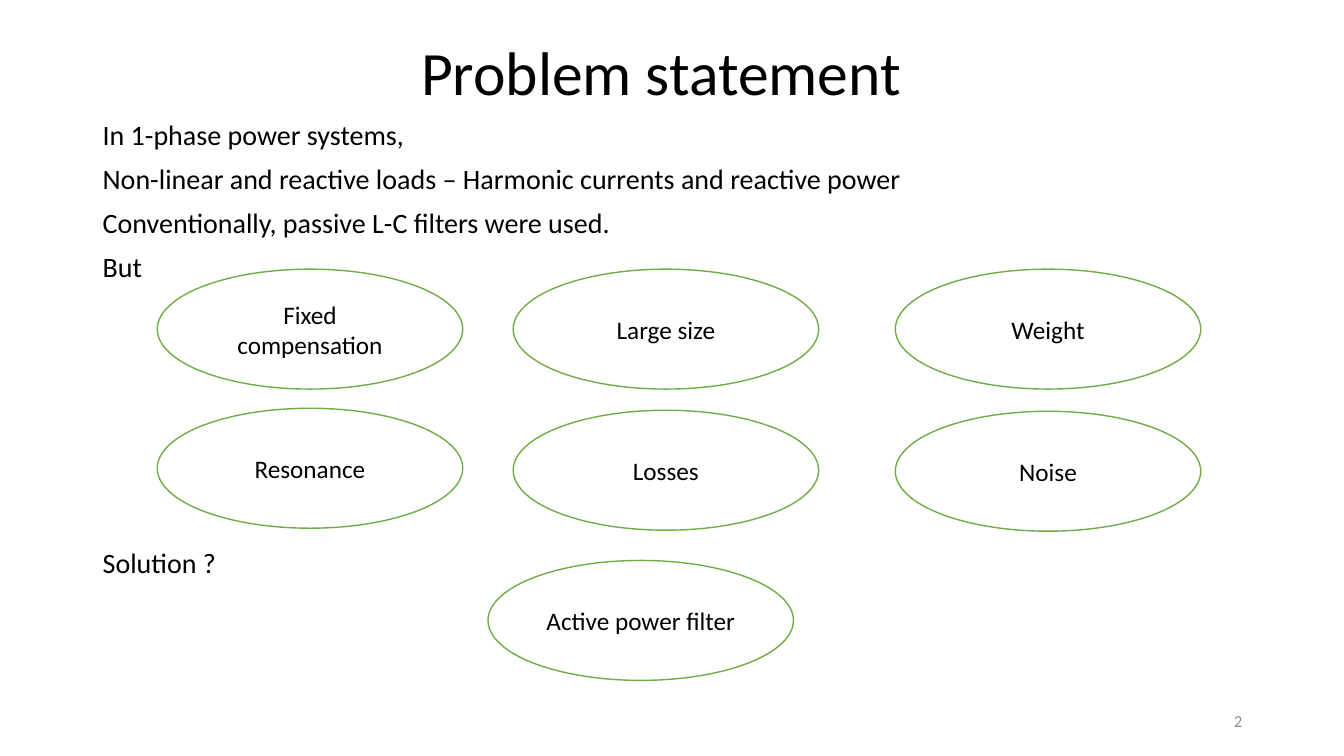
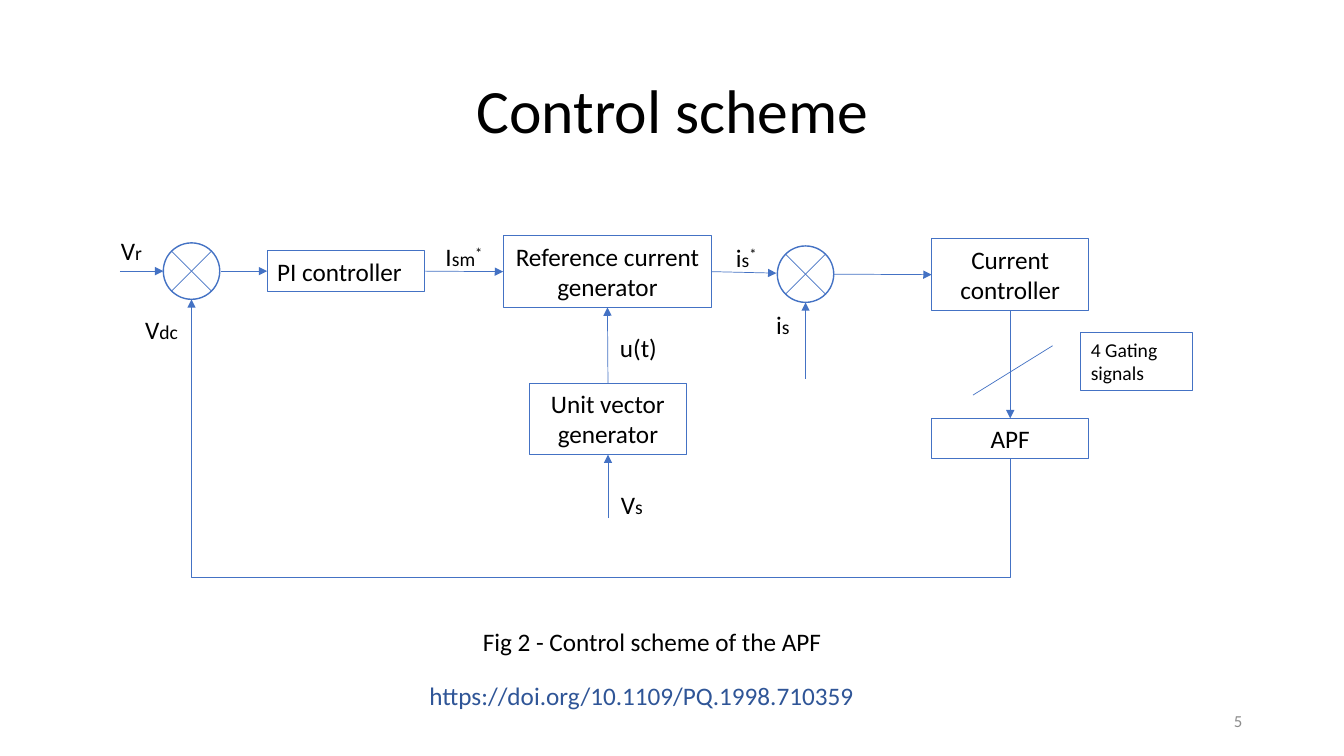
from dataclasses import dataclass
from typing import Optional

from lxml import etree
from pptx import Presentation
from pptx.dml.color import RGBColor
from pptx.enum.shapes import MSO_CONNECTOR, MSO_SHAPE
from pptx.enum.text import MSO_ANCHOR, PP_ALIGN
from pptx.oxml.ns import qn
from pptx.util import Inches, Pt

STRAIGHT, ELBOW = MSO_CONNECTOR.STRAIGHT, MSO_CONNECTOR.ELBOW
RECTANGLE, OVAL = MSO_SHAPE.RECTANGLE, MSO_SHAPE.OVAL
TOP, MIDDLE = MSO_ANCHOR.TOP, MSO_ANCHOR.MIDDLE
LEFT, CENTER, RIGHT = PP_ALIGN.LEFT, PP_ALIGN.CENTER, PP_ALIGN.RIGHT
SIDE_TOP, SIDE_LEFT, SIDE_BOTTOM, SIDE_RIGHT = range(4)
OVAL_BOTTOM = 4  # an ellipse has eight connection sites
TITLE_ONLY = 5


@dataclass(frozen=True)
class Theme:
    font: str = "Calibri"
    text: RGBColor = RGBColor(0, 0, 0)
    muted: RGBColor = RGBColor(0x8C, 0x8C, 0x8C)
    link: RGBColor = RGBColor(0x2F, 0x55, 0x97)
    paper: RGBColor = RGBColor(0xFF, 0xFF, 0xFF)
    green: RGBColor = RGBColor(0x70, 0xAD, 0x47)
    blue: RGBColor = RGBColor(0x44, 0x72, 0xC4)
    title: int = 44
    body: int = 20
    label: int = 18
    small: int = 14
    number: int = 12
    oval_line: float = 1
    box_line: float = 0.75
    wire_line: float = 0.5


THEME = Theme()


@dataclass(frozen=True)
class Area:
    left: float
    top: float
    width: float
    height: float

    def lengths(self) -> tuple:
        return tuple(Inches(v) for v in (self.left, self.top, self.width, self.height))


@dataclass(frozen=True)
class Bubble:
    text: str
    left: float
    top: float


@dataclass(frozen=True)
class Block:
    text: str
    area: Area
    align: PP_ALIGN = CENTER
    size: int = THEME.label


@dataclass(frozen=True)
class Signal:
    """A symbol with a smaller index and an optional raised mark."""
    symbol: str
    area: Area
    index: str = ""
    mark: str = ""


@dataclass(frozen=True)
class Wire:
    """A line; an end may be joined to a named block's side."""
    start: tuple
    end: tuple
    source: Optional[tuple] = None
    target: Optional[tuple] = None
    arrow: bool = True


NUMBER_AREA = Area(9.42, 6.95, 3, 0.4)

BUBBLE_WIDTH, BUBBLE_HEIGHT = 3.03, 1.19
BUBBLES = [
    Bubble("Fixed compensation", 1.56, 2.67),
    Bubble("Large size", 5.09, 2.67),
    Bubble("Weight", 8.88, 2.67),
    Bubble("Resonance", 1.56, 4.05),
    Bubble("Losses", 5.09, 4.07),
    Bubble("Noise", 8.88, 4.08),
    Bubble("Active power filter", 4.84, 5.56),
]
PROBLEM_LINES = [
    "In 1-phase power systems,",
    "Non-linear and reactive loads – Harmonic currents and reactive power",
    "Conventionally, passive L-C filters were used.",
    "But",
]

BLOCKS = {
    "pi": Block("PI controller", Area(2.65, 2.49, 1.56, 0.4), LEFT),
    "reference": Block("Reference current generator", Area(4.99, 2.34, 2.07, 0.71)),
    "current": Block("Current controller", Area(9.24, 2.37, 1.56, 0.71)),
    "vector": Block("Unit vector generator", Area(5.25, 3.8, 1.56, 0.71)),
    "apf": Block("APF", Area(9.24, 4.15, 1.56, 0.4)),
    "gating": Block("4 Gating signals", Area(10.72, 3.3, 1.11, 0.57), LEFT, THEME.small),
}
JUNCTION_SIZE, CROSS_REACH = 0.56, 0.2
VOLTAGE_SUM, CURRENT_SUM = (1.9, 2.69), (7.99, 2.72)
FEEDBACK_DEPTH = 5.73

WIRES = [
    Wire((1.19, 2.69), (1.62, 2.69)),
    Wire((2.19, 2.69), (2.65, 2.69), target=("pi", SIDE_LEFT)),
    Wire((4.21, 2.69), (4.99, 2.7), ("pi", SIDE_RIGHT), ("reference", SIDE_LEFT)),
    Wire((7.06, 2.7), (7.7, 2.71), source=("reference", SIDE_RIGHT)),
    Wire((8.27, 2.72), (9.24, 2.72), target=("current", SIDE_LEFT)),
    Wire((6.03, 5.14), (6.03, 4.51), target=("vector", SIDE_BOTTOM)),
    Wire((6.03, 3.8), (6.03, 3.05), ("vector", SIDE_TOP), ("reference", SIDE_BOTTOM)),
    Wire((7.99, 3.76), (7.99, 3)),
    Wire((10.02, 3.08), (10.02, 4.15), ("current", SIDE_BOTTOM), ("apf", SIDE_TOP)),
    Wire((10.44, 3.43), (9.65, 3.92), arrow=False),
]
SIGNALS = [
    Signal("V", Area(1.1, 2.29, 0.5, 0.4), "r"),
    Signal("V", Area(1.34, 3.07, 0.63, 0.4), "dc"),
    Signal("I", Area(4.32, 2.34, 0.65, 0.4), "sm", "*"),
    Signal("i", Area(7.2, 2.35, 0.65, 0.4), "s", "*"),
    Signal("i", Area(7.6, 3.02, 0.46, 0.4), "s"),
    Signal("V", Area(6.06, 4.81, 0.56, 0.4), "s"),
    Signal("u(t)", Area(6.05, 3.25, 0.61, 0.4)),
]


def apply_format(target, values: dict) -> None:
    for attribute, value in values.items():
        setattr(target, attribute, value)


def style_font(font, size: int, color: RGBColor = THEME.text) -> None:
    apply_format(font, {"name": THEME.font, "size": Pt(size)})
    font.color.rgb = color


def write(shape, lines: list, size: int, align: PP_ALIGN = LEFT, anchor: MSO_ANCHOR = TOP,
          color: RGBColor = THEME.text, spacing: float = 1, gap: int = 0) -> None:
    """Fill a shape with one paragraph per line, with gap points between them."""
    frame = shape.text_frame
    apply_format(frame, {"word_wrap": True, "vertical_anchor": anchor})
    for position, line in enumerate(lines):
        paragraph = frame.add_paragraph() if position else frame.paragraphs[0]
        apply_format(paragraph, {"alignment": align, "line_spacing": spacing,
                                 "space_before": Pt(gap if position else 0)})
        run = paragraph.add_run()
        run.text = line
        style_font(run.font, size, color)


def add_text(slide, area: Area, lines: list, size: int, **options) -> None:
    write(slide.shapes.add_textbox(*area.lengths()), lines, size, **options)


def add_outline(slide, kind: MSO_SHAPE, area: Area, color: RGBColor, weight: float,
                filled: bool):
    shape = slide.shapes.add_shape(kind, *area.lengths())
    shape.shadow.inherit = False
    if filled:
        shape.fill.solid()
        shape.fill.fore_color.rgb = THEME.paper
    else:
        shape.fill.background()
    shape.line.color.rgb = color
    shape.line.width = Pt(weight)
    return shape


def style_wire(connector, arrow: bool) -> None:
    connector.line.color.rgb = THEME.blue
    connector.line.width = Pt(THEME.wire_line)
    properties = connector._element.spPr
    if arrow:
        etree.SubElement(properties.find(qn("a:ln")), qn("a:tailEnd"), type="triangle")
    etree.SubElement(properties, qn("a:effectLst"))


def add_wire(slide, wire: Wire, blocks: dict) -> None:
    points = [Inches(v) for v in wire.start + wire.end]
    connector = slide.shapes.add_connector(STRAIGHT, *points)
    for join, place in ((connector.begin_connect, wire.source),
                        (connector.end_connect, wire.target)):
        if place:
            name, side = place
            join(blocks[name], side)
    style_wire(connector, wire.arrow)


def add_junction(slide, center: tuple):
    """Draw a circle crossed by two diagonals."""
    x, y = center
    half, reach = JUNCTION_SIZE / 2, CROSS_REACH
    circle = add_outline(slide, OVAL, Area(x - half, y - half, JUNCTION_SIZE, JUNCTION_SIZE),
                         THEME.blue, THEME.oval_line, filled=True)
    for rise in (-reach, reach):
        add_wire(slide, Wire((x - reach, y + rise), (x + reach, y - rise), arrow=False), {})
    return circle


def add_feedback(slide, apf, junction) -> None:
    """Lead the APF output below the diagram and up into the voltage junction."""
    connector = slide.shapes.add_connector(ELBOW, 0, 0, 0, 0)
    connector.begin_connect(apf, SIDE_BOTTOM)
    connector.end_connect(junction, SIDE_BOTTOM)
    connector._element.xpath(".//a:endCxn")[0].set("idx", str(OVAL_BOTTOM))

    start_x, start_y = apf.left + apf.width // 2, apf.top + apf.height
    end_x, end_y = junction.left + junction.width // 2, junction.top + junction.height
    rise, run = start_y - end_y, start_x - end_x
    # The frame is given before its quarter turn, so rise is its width
    frame = connector._element.spPr.find(qn("a:xfrm"))
    for flip in ("flipH", "flipV"):
        frame.attrib.pop(flip, None)
    frame.set("rot", "5400000")
    frame.set("flipH", "1")
    apply_format(connector, {"left": (start_x + end_x - rise) // 2,
                             "top": (start_y + end_y - run) // 2,
                             "width": rise, "height": run})
    bend = round((start_y - Inches(FEEDBACK_DEPTH)) / rise * 100000)
    guides = connector._element.spPr.find(qn("a:prstGeom")).get_or_add_avLst()
    etree.SubElement(guides, qn("a:gd"), name="adj1", fmla=f"val {bend}")
    style_wire(connector, arrow=True)


def add_signal(slide, signal: Signal) -> None:
    box = slide.shapes.add_textbox(*signal.area.lengths())
    write(box, [signal.symbol], THEME.label)
    for text, size, baseline in ((signal.index, THEME.small, 0),
                                 (signal.mark, THEME.label, 30000)):
        if text:
            run = box.text_frame.paragraphs[0].add_run()
            run.text = text
            style_font(run.font, size)
            if baseline:
                run.font._element.set("baseline", str(baseline))


def start_slide(deck, title: str, area: Area, number: int):
    slide = deck.slides.add_slide(deck.slide_layouts[TITLE_ONLY])
    heading = slide.shapes.title
    apply_format(heading, dict(zip(("left", "top", "width", "height"), area.lengths())))
    write(heading, [title], THEME.title, CENTER, MIDDLE, spacing=0.9)
    add_text(slide, NUMBER_AREA, [str(number)], THEME.number, align=RIGHT, anchor=MIDDLE,
             color=THEME.muted)
    return slide


def build_problem(deck) -> None:
    slide = start_slide(deck, "Problem statement", Area(0.81, 0.02, 11.5, 1.45), 2)
    add_text(slide, Area(0.92, 1.15, 11.5, 1.75), PROBLEM_LINES, THEME.body,
             spacing=0.9, gap=10)
    add_text(slide, Area(0.92, 5.4, 3, 0.4), ["Solution ?"], THEME.body, spacing=0.9)
    for bubble in BUBBLES:
        area = Area(bubble.left, bubble.top, BUBBLE_WIDTH, BUBBLE_HEIGHT)
        oval = add_outline(slide, OVAL, area, THEME.green, THEME.oval_line, filled=True)
        write(oval, [bubble.text], THEME.label, CENTER, MIDDLE)


def build_control(deck) -> None:
    slide = start_slide(deck, "Control scheme", Area(0.92, 0.4, 11.5, 1.45), 5)
    blocks = {}
    for name, block in BLOCKS.items():
        blocks[name] = add_outline(slide, RECTANGLE, block.area, THEME.blue,
                                   THEME.box_line, filled=False)
        write(blocks[name], [block.text], block.size, block.align)
    voltage_sum = add_junction(slide, VOLTAGE_SUM)
    add_junction(slide, CURRENT_SUM)
    for wire in WIRES:
        add_wire(slide, wire, blocks)
    add_feedback(slide, blocks["apf"], voltage_sum)
    for signal in SIGNALS:
        add_signal(slide, signal)
    add_text(slide, Area(4.69, 6.16, 3.94, 0.4), ["Fig 2 - Control scheme of the APF"],
             THEME.label)
    add_text(slide, Area(4.16, 6.7, 4.71, 0.4), ["https://doi.org/10.1109/PQ.1998.710359"],
             THEME.label, color=THEME.link)


def main() -> None:
    deck = Presentation()
    deck.slide_width, deck.slide_height = Inches(13.33), Inches(7.5)
    build_problem(deck)
    build_control(deck)
    deck.save("out.pptx")


if __name__ == "__main__":
    main()
